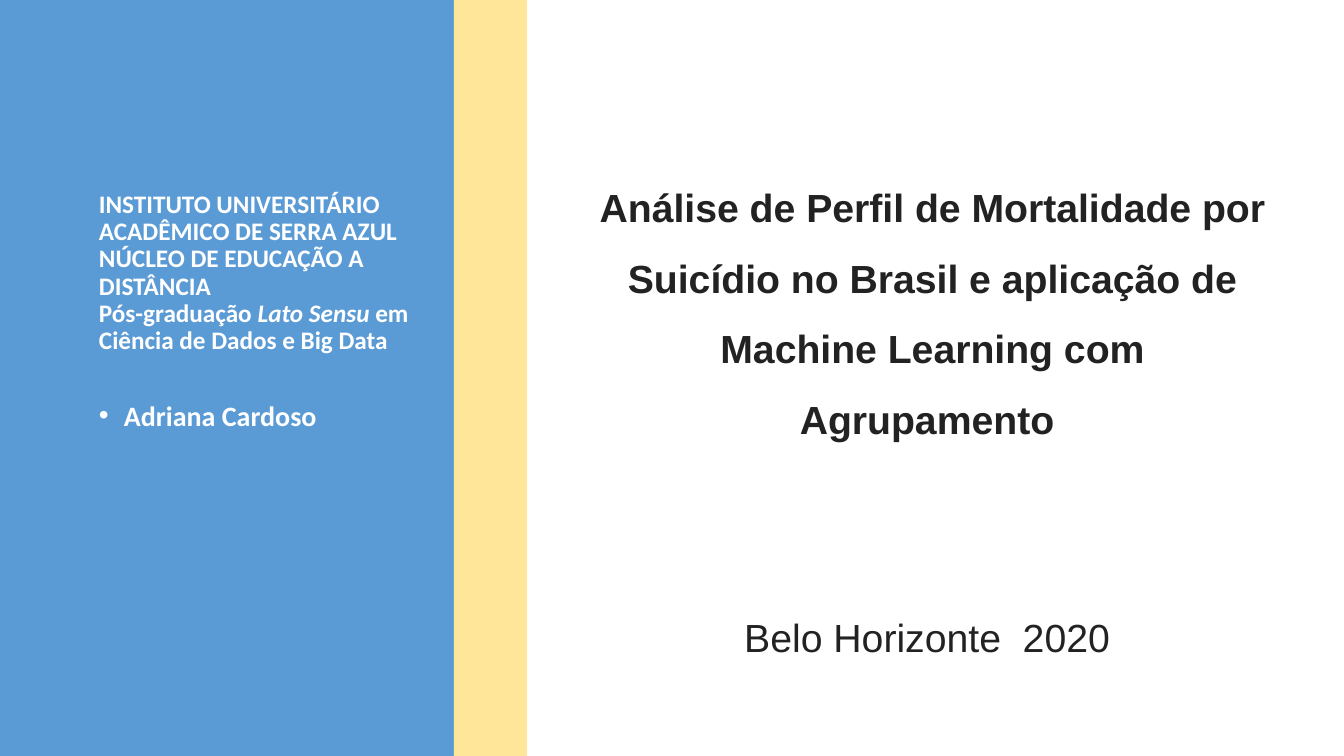
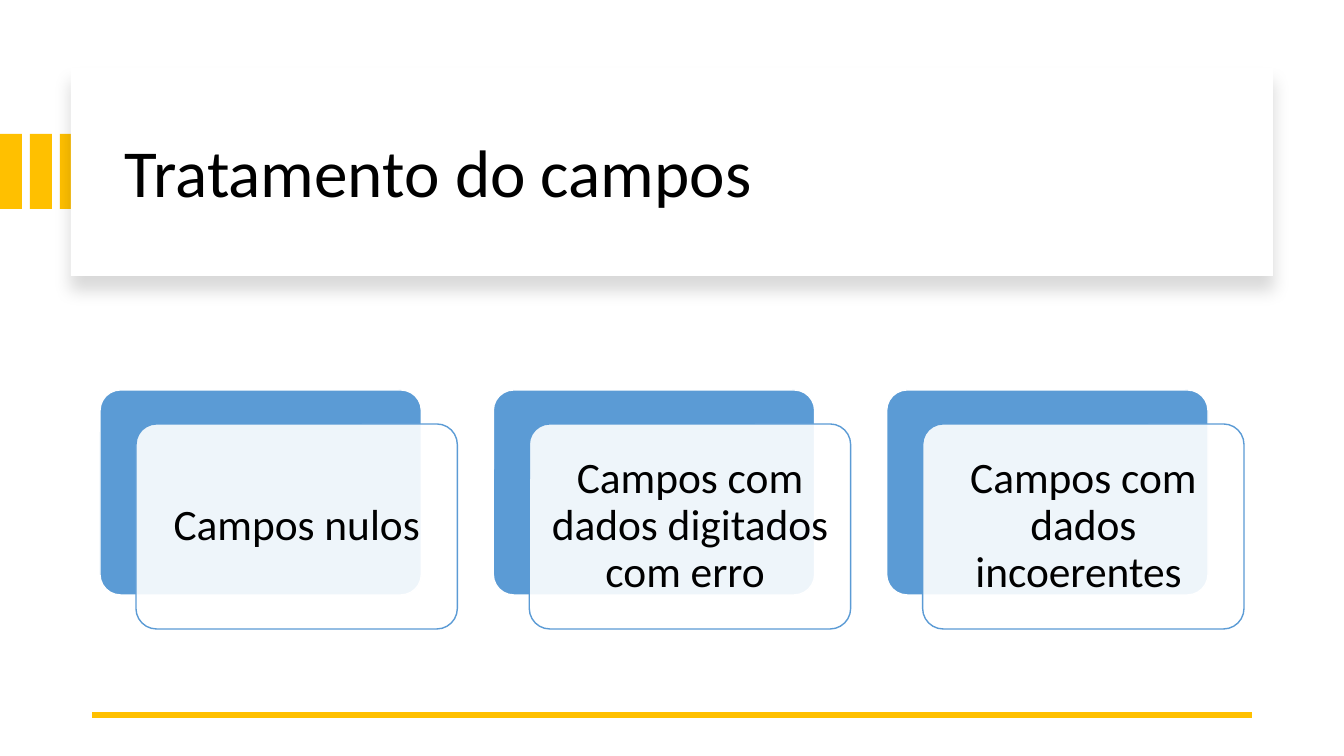
from lxml import etree
from pptx import Presentation
from pptx.dml.color import RGBColor
from pptx.enum.shapes import MSO_CONNECTOR as Connector, MSO_SHAPE as Shape
from pptx.enum.text import MSO_ANCHOR as Anchor, PP_ALIGN as Align
from pptx.oxml.ns import qn
from pptx.util import Emu, Pt

WIDTH, HEIGHT = 1344, 756
EMU_PER_PX = 914400 / 100.8

BLUE, GOLD, CREAM = "5B9BD5", "FFC000", "FFE699"
WHITE, BLACK, CHARCOAL = "FFFFFF", "000000", "222222"


def px(length):
    return Emu(round(length * EMU_PER_PX))


def rgb(color):
    return RGBColor.from_string(color)


def add_xml(parent, tag, **attributes):
    return etree.SubElement(parent, qn(tag), attributes)


def write_text(shape, text, *, size, color, font="Calibri", bold=False, align=Align.LEFT,
               anchor=Anchor.TOP, spacing=0.9, before=0, after=0, bullet=None, inset=None):
    """Fill a shape with one paragraph; text is a string or (string, italic) pairs."""
    frame = shape.text_frame
    frame.word_wrap = True
    frame.vertical_anchor = anchor
    if inset is not None:
        frame.margin_left = frame.margin_right = px(inset)
        frame.margin_top = frame.margin_bottom = px(inset)
    paragraph = frame.paragraphs[0]
    paragraph.alignment = align
    paragraph.line_spacing = spacing
    paragraph.space_before, paragraph.space_after = Pt(before), Pt(after)
    if bullet:
        properties = paragraph._p.get_or_add_pPr()
        properties.set("marL", str(px(25)))
        properties.set("indent", str(-px(25)))
        add_xml(properties, "a:buFont", typeface="Arial")
        add_xml(properties, "a:buChar", char=bullet)
    pieces = [(text, False)] if isinstance(text, str) else text
    for piece, italic in pieces:
        for index, line in enumerate(piece.split("\n")):
            if index:
                paragraph.add_line_break()
            run = paragraph.add_run()
            run.text = line
            run.font.name, run.font.size = font, Pt(size)
            run.font.bold, run.font.italic = bold, italic
            run.font.color.rgb = rgb(color)


def add_text(slide, box, text, **style):
    write_text(slide.shapes.add_textbox(*map(px, box)), text, **style)


def add_box(shapes, box, fill, *, kind=Shape.RECTANGLE, line=None, opacity=None):
    shape = shapes.add_shape(kind, *map(px, box))
    shape.shadow.inherit = False
    shape.fill.solid()
    shape.fill.fore_color.rgb = rgb(fill)
    if opacity is not None:
        color = shape.fill._xPr.find(qn("a:solidFill"))[0]
        add_xml(color, "a:alpha", val=str(opacity * 1000))
    if line:
        shape.line.color.rgb = rgb(line)
        shape.line.width = Pt(1)
    else:
        shape.line.fill.background()
    if kind == Shape.ROUNDED_RECTANGLE:
        shape.adjustments[0] = 0.1
    return shape


def add_soft_shadow(shape):
    effects = shape._element.spPr.find(qn("a:effectLst"))
    shadow = add_xml(effects, "a:outerShdw", blurRad=str(Pt(11)), dist=str(Pt(10)),
                     dir="5400000", algn="t", rotWithShape="0")
    add_xml(add_xml(shadow, "a:srgbClr", val=BLACK), "a:alpha", val="15000")


def add_rule(slide, start, end, y):
    rule = slide.shapes.add_connector(Connector.STRAIGHT, px(start), px(y), px(end), px(y))
    rule.line.color.rgb = rgb(GOLD)
    rule.line.width = Pt(4.5)
    add_xml(rule._element.spPr, "a:effectLst")


def add_author_panel(slide, x, y, width, height):
    band = 73
    add_box(slide.shapes, (x, y, width, height), BLUE)
    add_box(slide.shapes, (x + width - band, y, band, height), CREAM)
    style = dict(color=WHITE, bold=True, after=10)
    course = [("INSTITUTO UNIVERSITÁRIO ACADÊMICO DE SERRA AZUL\n"
               "NÚCLEO DE EDUCAÇÃO A DISTÂNCIA\nPós-graduação ", False),
              ("Lato Sensu", True),
              (" em Ciência de Dados e Big Data", False)]
    add_text(slide, (x + 89, y + 124, 365, 236), course, size=18, anchor=Anchor.BOTTOM, **style)
    add_text(slide, (x + 89, y + 397, 365, 182), "Adriana Cardoso", size=20, before=10,
             bullet="•", **style)


def add_cover_title(slide, x, y, width):
    style = dict(size=28, font="Arial", color=CHARCOAL, align=Align.CENTER, spacing=1.5, after=10)
    add_text(slide, (x, y, width, 429),
             "Análise de Perfil de Mortalidade por Suicídio no Brasil e aplicação de "
             "Machine Learning com Agrupamento ", bold=True, **style)
    add_text(slide, (x, y + 430, width, 93), "Belo Horizonte  2020 ", **style)


def add_title_card(slide, x, y, width, height, title):
    stripes = slide.shapes.add_group_shape().shapes
    for index in range(3):
        add_box(stripes, (index * 30, y + 66, 22, 75), GOLD)
    add_soft_shadow(add_box(slide.shapes, (x, y, width, height), WHITE))
    add_text(slide, (x + 44, y + 22, width - 80, 171), title, size=48, color=BLACK,
             anchor=Anchor.MIDDLE)


def add_layered_cards(slide, x, y, width, height, labels):
    """Spread a row of cards, each a solid back with a translucent labelled front."""
    shift_x, shift_y, gap = 36, 34, 36
    card_width = (width - gap * (len(labels) - 1)) / len(labels) - shift_x
    card_height = height - shift_y
    cards = slide.shapes.add_group_shape().shapes
    for index, label in enumerate(labels):
        left = x + index * (card_width + shift_x + gap)
        add_box(cards, (left, y, card_width, card_height), BLUE,
                kind=Shape.ROUNDED_RECTANGLE, line=WHITE)
        front = add_box(cards, (left + shift_x, y + shift_y, card_width, card_height), WHITE,
                        kind=Shape.ROUNDED_RECTANGLE, line=BLUE, opacity=90)
        write_text(front, label, size=31, color=BLACK, align=Align.CENTER,
                   anchor=Anchor.MIDDLE, inset=13)


def build_cover(slide):
    add_author_panel(slide, 0, 0, 527, HEIGHT)
    add_cover_title(slide, 587, 155, 691)


def build_field_treatment(slide):
    add_title_card(slide, 71, 68, 1202, 208, "Tratamento do campos")
    add_rule(slide, 1252, 92, 715)
    add_layered_cards(slide, 100, 390, 1144, 239,
                      ["Campos nulos", "Campos com dados digitados com erro ",
                       "Campos com dados incoerentes "])


def main():
    presentation = Presentation()
    presentation.slide_width, presentation.slide_height = px(WIDTH), px(HEIGHT)
    blank = presentation.slide_layouts[6]
    for build in (build_cover, build_field_treatment):
        build(presentation.slides.add_slide(blank))
    presentation.save("out.pptx")


if __name__ == "__main__":
    main()
